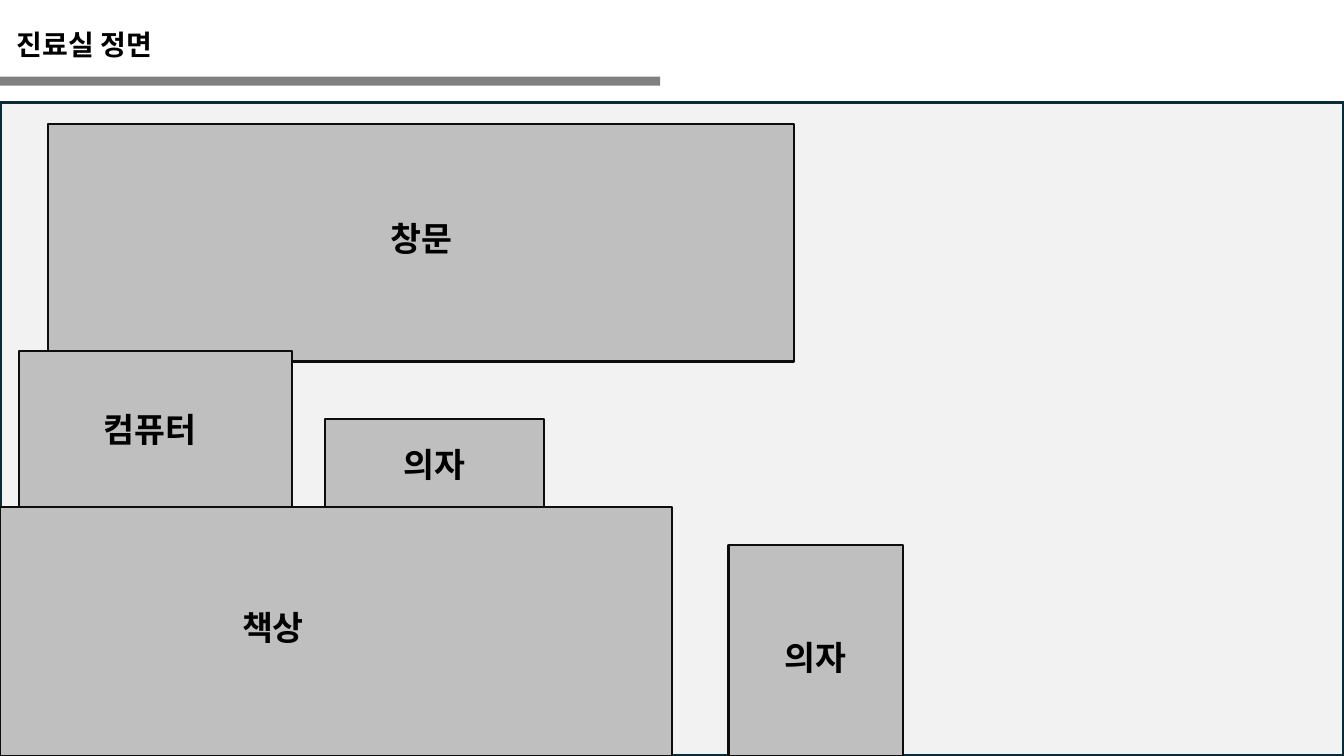
"""Build the front view of a consulting room."""
from lxml.etree import SubElement
from pptx import Presentation
from pptx.dml.color import RGBColor
from pptx.enum.shapes import MSO_SHAPE as Shape
from pptx.enum.text import MSO_ANCHOR as Anchor, MSO_AUTO_SIZE as Auto, PP_ALIGN as Align
from pptx.oxml.ns import qn
from pptx.util import Cm, Pt

FONT = "Noto Sans CJK KR"
BLACK = RGBColor(0x00, 0x00, 0x00)
GRAY = RGBColor(0x80, 0x80, 0x80)
WALL = RGBColor(0xF2, 0xF2, 0xF2)
NAVY = RGBColor(0x09, 0x2A, 0x39)
ITEM = RGBColor(0xBF, 0xBF, 0xBF)
EDGE = RGBColor(0x0D, 0x0D, 0x0D)
WIDE, HIGH = 33.87, 19.05
LABEL = 6.5, 1.27

# name, left, top, width, height, label shift from the middle, label top
ITEMS = [
    ("창문", 1.22, 0.53, 18.8, 5.99, 0, 2.24),
    ("의자", 8.18, 7.98, 5.54, 8.48, 0, 0.5),
    ("책상", 0, 10.19, 16.94, 6.27, -1.59, 2.39),
    ("의자", 18.36, 11.15, 4.39, 5.31, 0, 2.18),
    ("컴퓨터", 0.48, 6.25, 6.88, 3.94, -0.14, 1.35),
]


def write(frame, text, size, align):
    """Fill a text frame with one bold line."""
    frame.word_wrap = True
    frame.auto_size = Auto.SHAPE_TO_FIT_TEXT
    frame.vertical_anchor = Anchor.TOP
    para = frame.paragraphs[0]
    para.text = text
    para.alignment = align
    font = para.font
    font.size, font.bold, font.name = Pt(size), True, FONT
    font.color.rgb = BLACK
    props = para._p.pPr.find(qn("a:defRPr"))
    SubElement(props, qn("a:ea"), typeface=FONT)


def block(slide, box, fill, edge=None, width=0):
    """Draw a flat rectangle, with an outline if an edge colour is given."""
    shape = slide.shapes.add_shape(Shape.RECTANGLE, *map(Cm, box))
    shape.shadow.inherit = False
    shape.fill.solid()
    shape.fill.fore_color.rgb = fill
    if edge is None:
        shape.line.fill.background()
    else:
        shape.line.color.rgb = edge
        shape.line.width = Pt(width)


def header(slide, box, text):
    """Place the title and the bar beneath it."""
    left, top, width, height = box
    title = slide.shapes.title
    title.left, title.top = Cm(left), Cm(top + 0.56)
    title.width, title.height = Cm(11.84), Cm(1.12)
    write(title.text_frame, text, 20, Align.LEFT)
    title.text_frame.margin_left = Cm(0.42)
    block(slide, (left, top + height - 0.23, width, 0.23), GRAY)


def item(slide, box, name, shift, drop):
    """Draw a piece of furniture with its label."""
    left, top, width, height = box
    block(slide, box, ITEM, EDGE, 1.5)
    spot = left + (width - LABEL[0]) / 2 + shift, top + drop
    label = slide.shapes.add_textbox(*map(Cm, spot + LABEL))
    write(label.text_frame, name, 24, Align.CENTER)


def room(slide, box):
    """Draw the wall and all that stands before it."""
    block(slide, box, WALL, NAVY, 2.25)
    for name, left, top, width, height, shift, drop in ITEMS:
        place = box[0] + left, box[1] + top, width, height
        item(slide, place, name, shift, drop)


def main():
    """Build and save the deck."""
    deck = Presentation()
    deck.slide_width, deck.slide_height = Cm(WIDE), Cm(HIGH)
    slide = deck.slides.add_slide(deck.slide_layouts[5])
    header(slide, (0, 0, 16.64, 2.16), "진료실 정면")
    room(slide, (0, 2.59, WIDE, HIGH - 2.59))
    deck.save("out.pptx")


if __name__ == "__main__":
    main()
